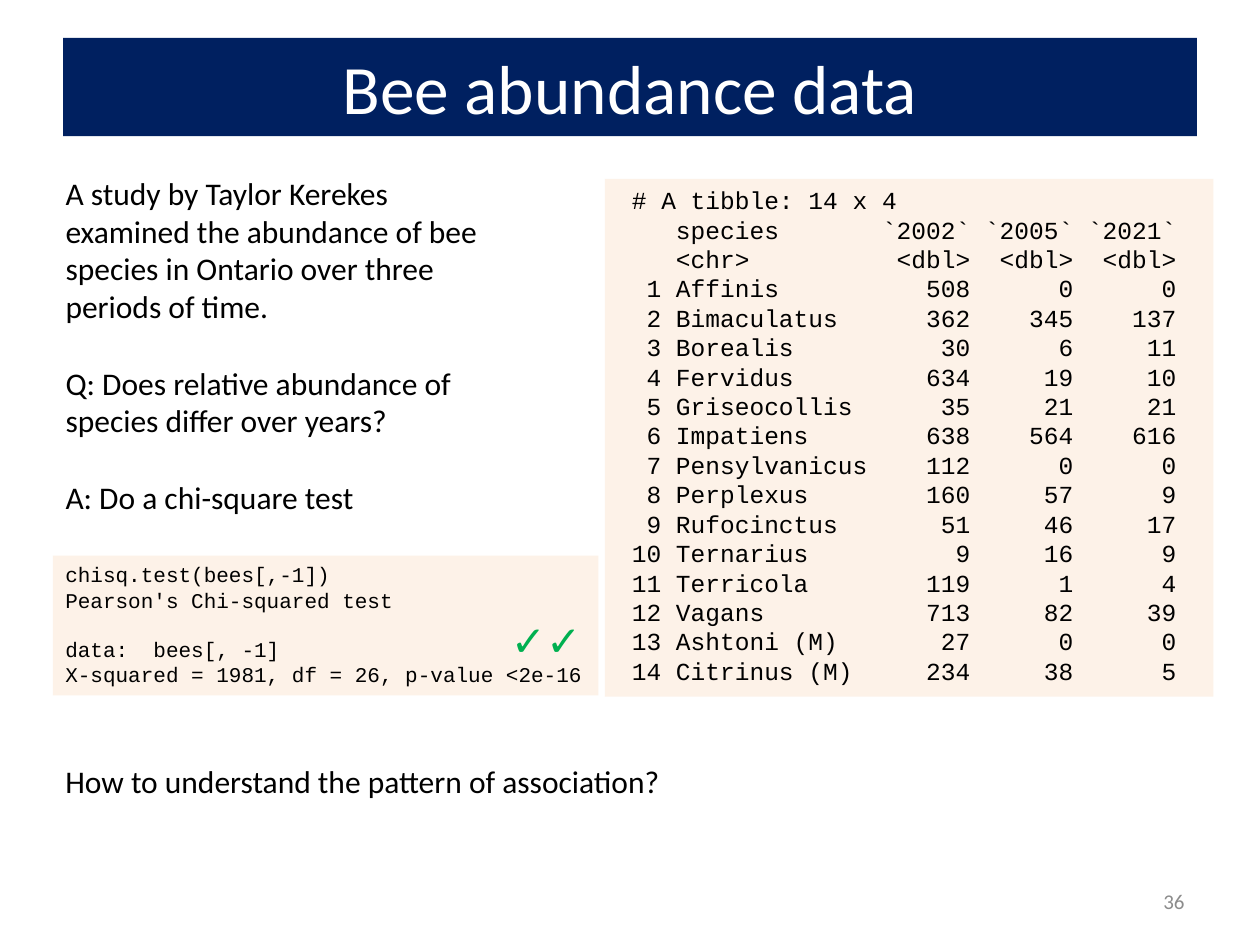
from dataclasses import dataclass

import pptx
import pptx.dml.color
import pptx.enum.shapes
import pptx.enum.text
import pptx.oxml.ns
import pptx.util
from lxml import etree
from pptx.util import Inches

ALIGN = pptx.enum.text.PP_ALIGN
ANCHOR = pptx.enum.text.MSO_ANCHOR


@dataclass(frozen=True)
class Theme:
    sans: str = "Calibri"
    mono: str = "Courier New"
    navy: str = "002060"
    white: str = "FFFFFF"
    black: str = "000000"
    gray: str = "8C8C8C"
    green: str = "00B050"
    cream: str = "FDEADA"
    cream_opacity: int = 60
    title_size: float = 39.6
    check_size: float = 24
    body_size: float = 18
    table_size: float = 14
    small_size: float = 12


THEME = Theme()

STUDY_TEXT = [
    "A study by Taylor Kerekes examined the abundance of bee species in Ontario "
    "over three periods of time.",
    "Q: Does relative abundance of species differ over years?",
    "A: Do a chi-square test",
]
TEST_CALL = ["chisq.test(bees[,-1])", "Pearson's Chi-squared test"]
TEST_RESULT = ["data:  bees[, -1]", "X-squared = 1981, df = 26, p-value <2e-16"]
BEES = [
    ("Affinis", 508, 0, 0),
    ("Bimaculatus", 362, 345, 137),
    ("Borealis", 30, 6, 11),
    ("Fervidus", 634, 19, 10),
    ("Griseocollis", 35, 21, 21),
    ("Impatiens", 638, 564, 616),
    ("Pensylvanicus", 112, 0, 0),
    ("Perplexus", 160, 57, 9),
    ("Rufocinctus", 51, 46, 17),
    ("Ternarius", 9, 16, 9),
    ("Terricola", 119, 1, 4),
    ("Vagans", 713, 82, 39),
    ("Ashtoni (M)", 27, 0, 0),
    ("Citrinus (M)", 234, 38, 5),
]


def rgb(value):
    return pptx.dml.color.RGBColor.from_string(value)


def tibble_lines():
    """Lay out the bee counts as R prints them."""
    rows = [("", "species", "`2002`", "`2005`", "`2021`"),
            ("", "<chr>", "<dbl>", "<dbl>", "<dbl>")]
    rows += [(number, *bee) for number, bee in enumerate(BEES, start=1)]
    return [" # A tibble: 14 x 4"] + [
        f" {number:>2} {species:<13}" + "".join(f"{count:>7}" for count in counts)
        for number, species, *counts in rows
    ]


def place(shape, left, top, width, height):
    shape.left, shape.top = Inches(left), Inches(top)
    shape.width, shape.height = Inches(width), Inches(height)


def write(shape, lines, size, color=THEME.black, font=THEME.sans,
          align=ALIGN.LEFT, anchor=ANCHOR.TOP, gaps=None):
    """Fill the shape; gaps maps a line index to the points of space before it."""
    frame = shape.text_frame
    frame.word_wrap = True
    frame.auto_size = pptx.enum.text.MSO_AUTO_SIZE.NONE
    frame.vertical_anchor = anchor
    frame.text = "\n".join(lines)
    for index, paragraph in enumerate(frame.paragraphs):
        paragraph.alignment = align
        paragraph.space_before = pptx.util.Pt((gaps or {}).get(index, 0))
        paragraph.font.name = font
        paragraph.font.size = pptx.util.Pt(size)
        paragraph.font.color.rgb = rgb(color)


def remove_bullets(shape):
    for paragraph in shape.text_frame.paragraphs:
        properties = paragraph._p.get_or_add_pPr()
        properties.set("marL", "0")
        properties.set("indent", "0")
        bullet = etree.Element(pptx.oxml.ns.qn("a:buNone"))
        spacing = properties.find(pptx.oxml.ns.qn("a:spcBef"))
        spacing.addnext(bullet)


def add_text(slide, box, lines, size, **style):
    shape = slide.shapes.add_textbox(*map(Inches, box))
    write(shape, lines, size, **style)


def add_code_panel(slide, box, lines, size, gaps=None):
    panel = slide.shapes.add_shape(
        pptx.enum.shapes.MSO_SHAPE.RECTANGLE, *map(Inches, box))
    panel.shadow.inherit = False
    panel.line.fill.background()
    panel.fill.solid()
    panel.fill.fore_color.rgb = rgb(THEME.cream)
    color = panel._element.spPr.find(".//" + pptx.oxml.ns.qn("a:srgbClr"))
    alpha = etree.SubElement(color, pptx.oxml.ns.qn("a:alpha"))
    alpha.set("val", str(THEME.cream_opacity * 1000))
    write(panel, lines, size, font=THEME.mono, gaps=gaps)


def fill_title(slide, text):
    title = slide.shapes.title
    place(title, 0.5, 0.3, 9, 0.78)
    title.fill.solid()
    title.fill.fore_color.rgb = rgb(THEME.navy)
    write(title, [text], THEME.title_size, color=THEME.white,
          align=ALIGN.CENTER, anchor=ANCHOR.MIDDLE)


def fill_body(slide, lines):
    body = slide.placeholders[1]
    place(body, 0.42, 1.33, 3.75, 2.83)
    write(body, lines, THEME.body_size, gaps={1: 22, 2: 22})
    remove_bullets(body)


def main():
    presentation = pptx.Presentation()
    presentation.slide_width, presentation.slide_height = Inches(10), Inches(7.5)
    slide = presentation.slides.add_slide(presentation.slide_layouts[1])

    fill_title(slide, "Bee abundance data")
    add_text(slide, (7.17, 6.95, 2.33, 0.4), ["36"], THEME.small_size,
             color=THEME.gray, align=ALIGN.RIGHT, anchor=ANCHOR.MIDDLE)
    fill_body(slide, STUDY_TEXT)
    add_code_panel(slide, (4.8, 1.42, 4.83, 4.11), tibble_lines(), THEME.table_size)
    add_code_panel(slide, (0.42, 4.41, 4.33, 1.11), TEST_CALL + TEST_RESULT,
                   THEME.small_size, gaps={len(TEST_CALL): 13.6})
    add_text(slide, (0.42, 6, 6.25, 0.4),
             ["How to understand the pattern of association?"], THEME.body_size)
    add_text(slide, (3.92, 4.83, 0.83, 0.5), ["✓✓"], THEME.check_size,
             color=THEME.green, align=ALIGN.CENTER)

    presentation.save("out.pptx")


if __name__ == "__main__":
    main()
